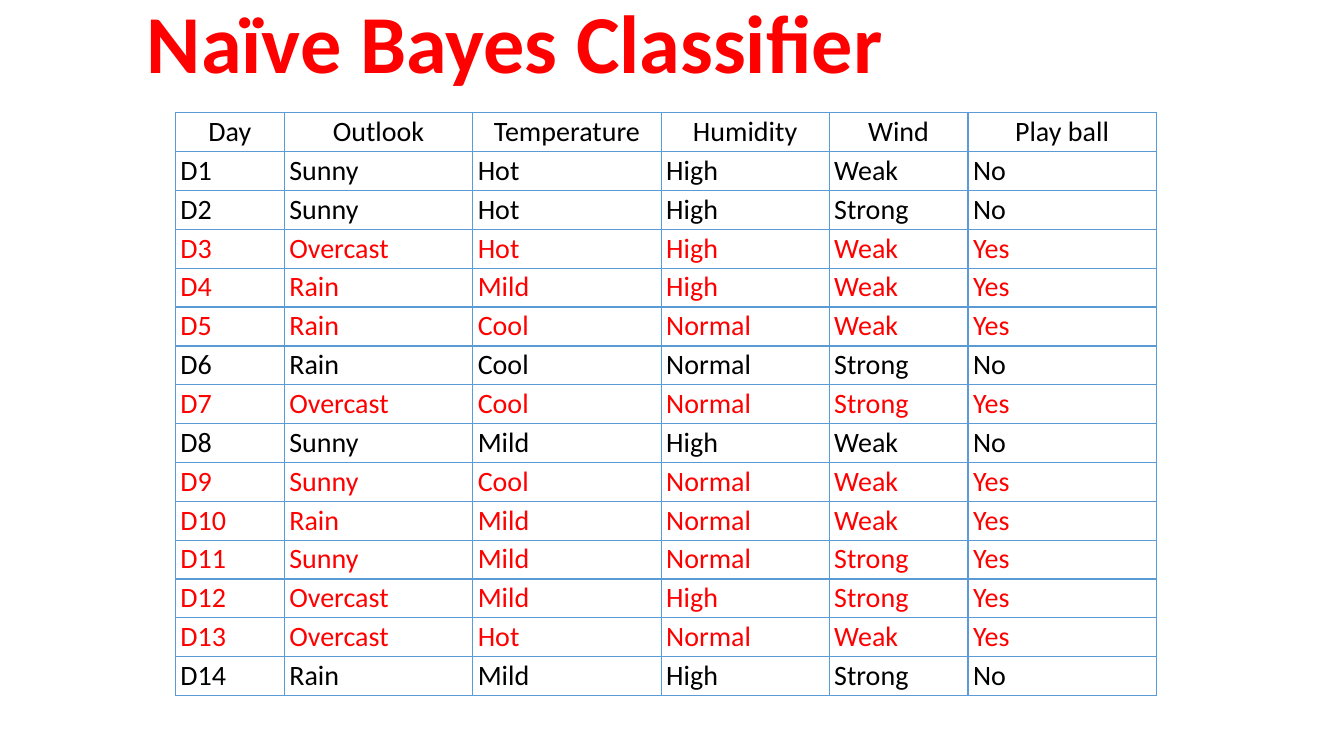
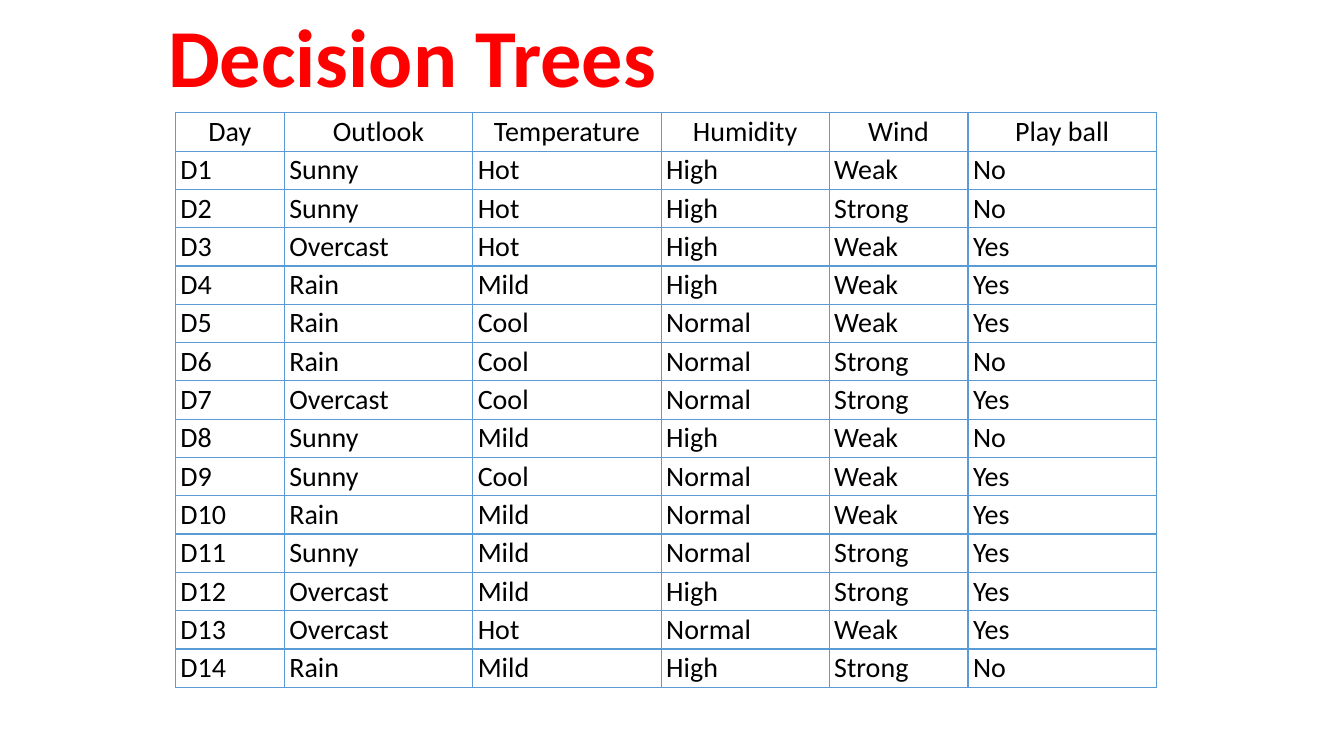
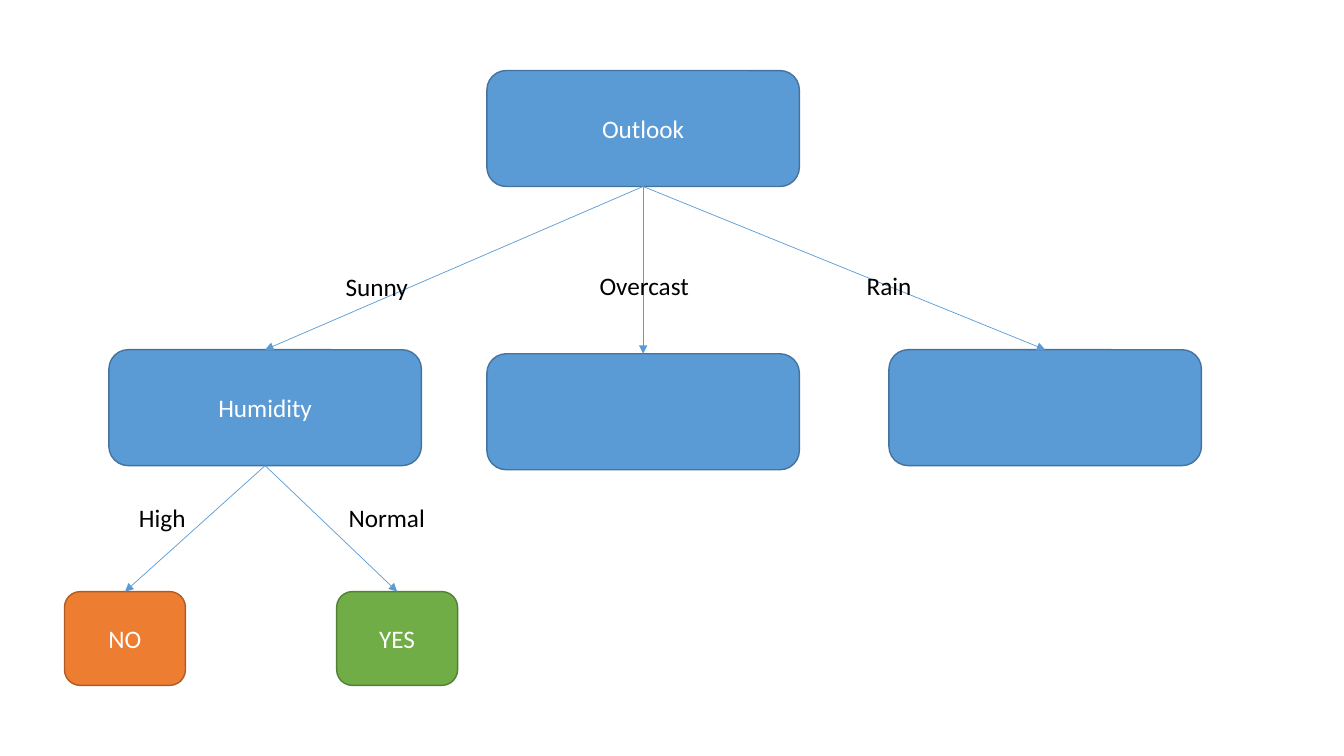
"""Build three slides on classifying the play-ball data set."""
from typing import NamedTuple, Optional

from lxml import etree
from pptx import Presentation
from pptx.dml.color import RGBColor
from pptx.enum.shapes import MSO_CONNECTOR, MSO_SHAPE
from pptx.enum.text import MSO_ANCHOR, MSO_AUTO_SIZE, PP_ALIGN
from pptx.oxml.ns import qn
from pptx.shapes.autoshape import Shape
from pptx.shapes.connector import Connector
from pptx.slide import Slide
from pptx.text.text import TextFrame
from pptx.util import Pt

RECTANGLE = MSO_SHAPE.RECTANGLE
ROUNDED = MSO_SHAPE.ROUNDED_RECTANGLE
STRAIGHT = MSO_CONNECTOR.STRAIGHT
TOP, MIDDLE = MSO_ANCHOR.TOP, MSO_ANCHOR.MIDDLE
LEFT, CENTER = PP_ALIGN.LEFT, PP_ALIGN.CENTER
GROW = MSO_AUTO_SIZE.SHAPE_TO_FIT_TEXT

FONT = "Calibri"
COLORS = {
    "white": "FFFFFF", "black": "000000", "red": "FF0000",
    "blue": "5B9BD5", "blue_edge": "43739E",
    "orange": "ED7D31", "orange_edge": "AF5C24",
    "green": "70AD47", "green_edge": "538035",
}
TOP_SITE, BOTTOM_SITE = 0, 2
BLANK_LAYOUT = 6

HEADER = ("Day", "Outlook", "Temperature", "Humidity", "Wind", "Play ball")
OBSERVATIONS = (
    ("Sunny", "Hot", "High", "Weak", "No"),
    ("Sunny", "Hot", "High", "Strong", "No"),
    ("Overcast", "Hot", "High", "Weak", "Yes"),
    ("Rain", "Mild", "High", "Weak", "Yes"),
    ("Rain", "Cool", "Normal", "Weak", "Yes"),
    ("Rain", "Cool", "Normal", "Strong", "No"),
    ("Overcast", "Cool", "Normal", "Strong", "Yes"),
    ("Sunny", "Mild", "High", "Weak", "No"),
    ("Sunny", "Cool", "Normal", "Weak", "Yes"),
    ("Rain", "Mild", "Normal", "Weak", "Yes"),
    ("Sunny", "Mild", "Normal", "Strong", "Yes"),
    ("Overcast", "Mild", "High", "Strong", "Yes"),
    ("Overcast", "Hot", "Normal", "Weak", "Yes"),
    ("Rain", "Mild", "High", "Strong", "No"),
)
COLUMN_WIDTHS = (77.8, 134.6, 134.6, 120, 99.2, 134.4)
TABLE_LEFT, TABLE_TOP = 125.3, 80.6


class DataSlide(NamedTuple):
    """A titled slide that shows the observations."""
    title: str
    left: float
    top: float
    row_height: float
    highlight: bool


class Node(NamedTuple):
    """A box of the decision tree."""
    name: str
    text: str
    left: float
    top: float
    width: float = 223.2
    height: float = 82.8
    color: str = "blue"


class Branch(NamedTuple):
    """An arrow between two nodes, with its label."""
    parent: str
    child: str
    label: str
    left: float
    top: float
    width: float


DATA_SLIDES = (
    DataSlide("Naïve Bayes Classifier", 97.9, 3.6, 27.77, True),
    DataSlide("Decision Trees", 113, 13.7, 27.29, False),
)
NODES = (
    Node("outlook", "Outlook", 347.8, 50.4),
    Node("sunny", "Humidity", 77.8, 249.8),
    Node("overcast", "", 347.8, 252.7),
    Node("rain", "", 635, 249.8),
    Node("high", "NO", 46.1, 422.6, 86.4, 67, "orange"),
    Node("normal", "YES", 240.5, 422.6, 86.4, 67, "green"),
)
BRANCHES = (
    Branch("outlook", "sunny", "Sunny", 239.8, 190.1, 59.8),
    Branch("outlook", "overcast", "Overcast", 421.2, 189.4, 79.2),
    Branch("outlook", "rain", "Rain", 612, 189.4, 46.8),
    Branch("sunny", "high", "High", 92.2, 355, 48.2),
    Branch("sunny", "normal", "Normal", 241.9, 355, 69.8),
)


def rgb(name: str) -> RGBColor:
    """Return a named colour."""
    return RGBColor.from_string(COLORS[name])


def write(frame: TextFrame, text: str, *, size: float, color: str,
          bold: bool = False, align: PP_ALIGN = LEFT,
          anchor: MSO_ANCHOR = TOP, spacing: Optional[float] = None,
          wrap: Optional[bool] = True) -> None:
    """Write one formatted paragraph into a text frame."""
    if wrap is not None:
        frame.word_wrap = wrap
        frame.vertical_anchor = anchor
    paragraph = frame.paragraphs[0]
    paragraph.alignment = align
    paragraph.line_spacing = spacing
    run = paragraph.add_run()
    run.text = text
    run.font.name = FONT
    run.font.size = Pt(size)
    run.font.bold = bold
    run.font.color.rgb = rgb(color)


def add_title(slide: Slide, data: DataSlide) -> None:
    """Add the red title on its white band."""
    shape = slide.shapes.add_shape(
        RECTANGLE, Pt(data.left), Pt(data.top), Pt(764), Pt(65.5))
    shape.shadow.inherit = False
    shape.fill.solid()
    shape.fill.fore_color.rgb = rgb("white")
    shape.line.fill.background()
    write(shape.text_frame, data.title, size=58.8, color="red", bold=True,
          spacing=0.8)


def add_borders(cell_properties: etree._Element) -> None:
    """Give a table cell a thin blue line on each side."""
    for index, side in enumerate(("a:lnL", "a:lnR", "a:lnT", "a:lnB")):
        line = etree.Element(qn(side), w=str(Pt(1)))
        fill = etree.SubElement(line, qn("a:solidFill"))
        etree.SubElement(fill, qn("a:srgbClr"), val=COLORS["blue"])
        cell_properties.insert(index, line)


def add_observations(slide: Slide, data: DataSlide) -> None:
    """Add the table of days, with the play days in red if asked."""
    rows = [HEADER] + [(f"D{day}", *values)
                       for day, values in enumerate(OBSERVATIONS, 1)]
    frame = slide.shapes.add_table(
        len(rows), len(HEADER), Pt(TABLE_LEFT), Pt(TABLE_TOP),
        Pt(sum(COLUMN_WIDTHS)), Pt(data.row_height * len(rows)))
    table = frame.table
    table.first_row = table.horz_banding = False
    for column, width in zip(table.columns, COLUMN_WIDTHS):
        column.width = Pt(width)
    for row_index, values in enumerate(rows):
        table.rows[row_index].height = Pt(data.row_height)
        color = "red" if data.highlight and values[-1] == "Yes" else "black"
        for column_index, value in enumerate(values):
            cell = table.cell(row_index, column_index)
            cell.fill.background()
            cell.margin_left = cell.margin_right = Pt(3.6)
            cell.margin_top = cell.margin_bottom = Pt(1.44)
            write(cell.text_frame, value, size=20, color=color, wrap=None,
                  align=LEFT if row_index else CENTER)
    for cell_properties in frame.element.iter(qn("a:tcPr")):
        add_borders(cell_properties)


def add_node(slide: Slide, node: Node) -> Shape:
    """Add a rounded box of the tree."""
    shape = slide.shapes.add_shape(
        ROUNDED, Pt(node.left), Pt(node.top), Pt(node.width), Pt(node.height))
    shape.shadow.inherit = False
    shape.fill.solid()
    shape.fill.fore_color.rgb = rgb(node.color)
    shape.line.color.rgb = rgb(f"{node.color}_edge")
    shape.line.width = Pt(1)
    if node.text:
        write(shape.text_frame, node.text, size=18, color="white",
              align=CENTER, anchor=MIDDLE)
    return shape


def add_arrow(slide: Slide, parent: Shape, child: Shape) -> Connector:
    """Add an arrow from the foot of one box to the top of another."""
    connector = slide.shapes.add_connector(STRAIGHT, 0, 0, 0, 0)
    connector.begin_connect(parent, BOTTOM_SITE)
    connector.end_connect(child, TOP_SITE)
    connector.line.color.rgb = rgb("blue")
    connector.line.width = Pt(0.5)
    properties = connector.element.find(qn("p:spPr"))
    etree.SubElement(properties.find(qn("a:ln")), qn("a:tailEnd"),
                     type="triangle")
    etree.SubElement(properties, qn("a:effectLst"))
    return connector


def add_label(slide: Slide, branch: Branch) -> None:
    """Add the value that a branch stands for."""
    box = slide.shapes.add_textbox(
        Pt(branch.left), Pt(branch.top), Pt(branch.width), Pt(28.8))
    write(box.text_frame, branch.label, size=18, color="black", wrap=False)
    box.text_frame.auto_size = GROW


def add_tree(slide: Slide) -> None:
    """Draw the decision tree."""
    shapes = {node.name: add_node(slide, node) for node in NODES}
    for branch in BRANCHES:
        add_arrow(slide, shapes[branch.parent], shapes[branch.child])
        add_label(slide, branch)


def main() -> None:
    """Build and save the presentation."""
    presentation = Presentation()
    presentation.slide_width = Pt(960)
    presentation.slide_height = Pt(540)
    blank = presentation.slide_layouts[BLANK_LAYOUT]
    for data in DATA_SLIDES:
        slide = presentation.slides.add_slide(blank)
        add_observations(slide, data)
        add_title(slide, data)
    add_tree(presentation.slides.add_slide(blank))
    presentation.save("out.pptx")


if __name__ == "__main__":
    main()
